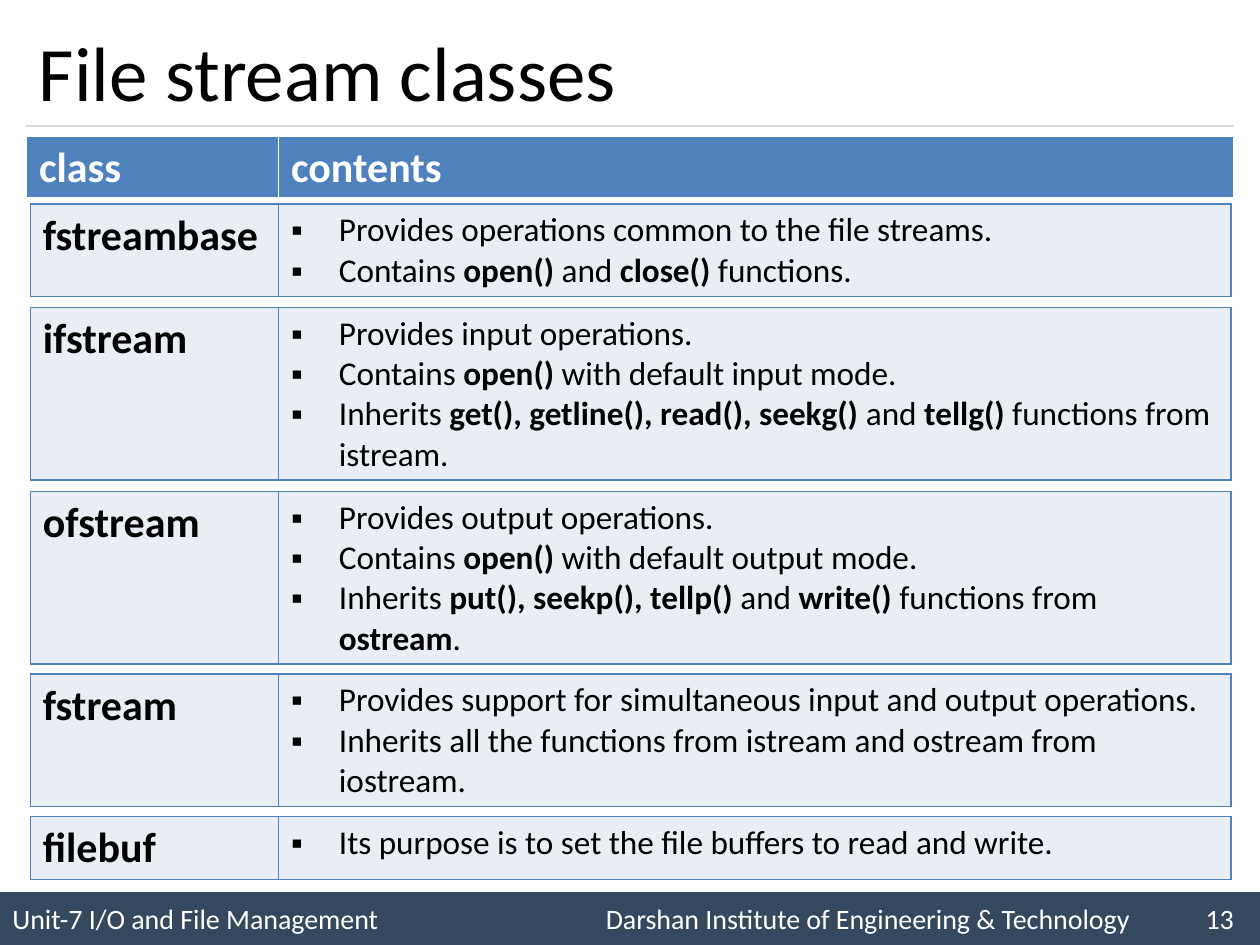
from lxml.etree import SubElement
from pptx import Presentation
from pptx.dml.color import RGBColor
from pptx.enum.shapes import MSO_CONNECTOR, MSO_SHAPE
from pptx.enum.text import MSO_ANCHOR, PP_ALIGN
from pptx.oxml import parse_xml
from pptx.oxml.ns import nsdecls, qn
from pptx.util import Inches, Pt


def style(font, size, color, bold=False):
    font.name = "Calibri"
    font.size = Pt(size)
    font.bold = bold
    font.color.rgb = RGBColor.from_string(color)


def add_row_table(left, top, widths, height, fill, borders):
    """Add a one-row table and return its cells; borders maps L, R, T, B to (color, points)."""
    frame = page.shapes.add_table(1, len(widths), Inches(left), Inches(top),
                                  Inches(sum(widths)), Inches(height))
    table = frame.table
    table.first_row = table.horz_banding = False
    for column, width in zip(table.columns, widths):
        column.width = Inches(width)
    cells = list(table.rows[0].cells)
    for cell in cells:
        properties = cell._tc.get_or_add_tcPr()
        for side, (color, points) in borders.items():
            properties.append(parse_xml(
                f'<a:ln{side} {nsdecls("a")} w="{Pt(points)}"><a:solidFill>'
                f'<a:srgbClr val="{color}"/></a:solidFill></a:ln{side}>'))
        cell.fill.solid()
        cell.fill.fore_color.rgb = RGBColor.from_string(fill)
    return cells


deck = Presentation()
deck.slide_width, deck.slide_height = Inches(10), Inches(7.5)
page = deck.slides.add_slide(deck.slide_layouts[6])

# Footer bar: unit, institute and page number on tab stops
footer = page.shapes.add_shape(MSO_SHAPE.RECTANGLE, 0, Inches(7.08), Inches(10), Inches(0.42))
footer.shadow.inherit = False
footer.fill.solid()
footer.fill.fore_color.rgb = RGBColor.from_string("34495E")
footer.line.fill.background()
footer.text_frame.vertical_anchor = MSO_ANCHOR.MIDDLE
para = footer.text_frame.paragraphs[0]
para.text = "Unit-7 I/O and File Management\tDarshan Institute of Engineering & Technology\t13"
para.alignment = PP_ALIGN.LEFT
tabs = SubElement(para._p.get_or_add_pPr(), qn("a:tabLst"))
for position in (4.71, 9.47):
    SubElement(tabs, qn("a:tab"), pos=str(Inches(position)), algn="l")
style(para.font, 16, "FFFFFF")

# Title and the rule below it
rule = page.shapes.add_connector(MSO_CONNECTOR.STRAIGHT, Inches(0.21), Inches(1),
                                 Inches(9.79), Inches(1))
rule.line.color.rgb = RGBColor.from_string("D9D9D9")
rule.line.width = Pt(0.75)
SubElement(rule._element.spPr, qn("a:effectLst"))

title = page.shapes.add_textbox(Inches(0.21), Inches(0.12), Inches(9.58), Inches(0.88))
title.text_frame.word_wrap = True
title.text_frame.vertical_anchor = MSO_ANCHOR.MIDDLE
para = title.text_frame.paragraphs[0]
para.text = "File stream classes"
style(para.font, 44, "000000")

# Header table
header_borders = dict.fromkeys("LRT", ("FFFFFF", 1)) | {"B": ("FFFFFF", 3)}
header_cells = add_row_table(0.21, 1.08, (2, 7.58), 0.5, "4F81BD", header_borders)
for cell, heading in zip(header_cells, ("class", "contents")):
    para = cell.text_frame.paragraphs[0]
    para.text = heading
    style(para.font, 24, "FFFFFF", True)

# One table per class: top, height, name, points (** marks bold)
classes = [
    (1.62, 0.73, "fstreambase", [
        "Provides operations common to the file streams.",
        "Contains **open()** and **close() **functions."]),
    (2.44, 1.37, "ifstream", [
        "Provides input operations.",
        "Contains **open() **with default input mode.",
        "Inherits **get(), getline(), read(), seekg()** and **tellg() **functions from istream."]),
    (3.9, 1.37, "ofstream", [
        "Provides output operations.",
        "Contains **open() **with default output mode.",
        "Inherits **put(), seekp(), tellp() **and **write() **functions from **ostream**."]),
    (5.35, 1.05, "fstream", [
        "Provides support for simultaneous input and output operations.",
        "Inherits all the functions from istream and ostream from iostream."]),
    (6.48, 0.5, "filebuf", [
        "Its purpose is to set the file buffers to read and write."]),
]
class_borders = dict.fromkeys("LRTB", ("4F81BD", 1))
for top, height, name, points in classes:
    name_cell, contents_cell = add_row_table(0.24, top, (1.97, 7.56), height,
                                             "E9EDF4", class_borders)
    para = name_cell.text_frame.paragraphs[0]
    para.text = name
    style(para.font, 24, "000000", True)

    frame = contents_cell.text_frame
    for index, point in enumerate(points):
        para = frame.add_paragraph() if index else frame.paragraphs[0]
        properties = para._p.get_or_add_pPr()
        properties.set("marL", str(Inches(0.38)))
        properties.set("indent", str(-Inches(0.38)))
        SubElement(properties, qn("a:buFont"), typeface="Arial")
        SubElement(properties, qn("a:buChar"), char="▪")
        style(para.font, 19, "000000")
        for part, text in enumerate(point.split("**")):
            span = para.add_run()
            span.text = text
            if part % 2:
                span.font.bold = True

deck.save("out.pptx")
